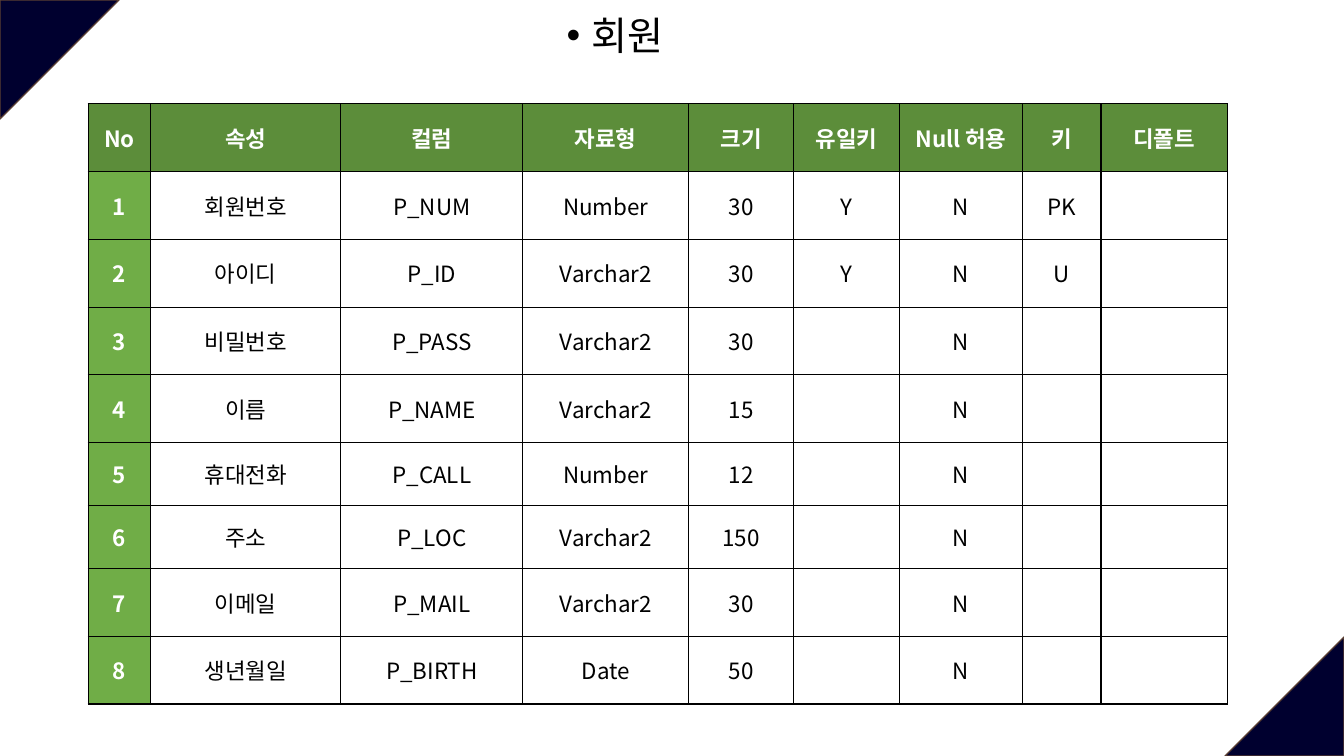
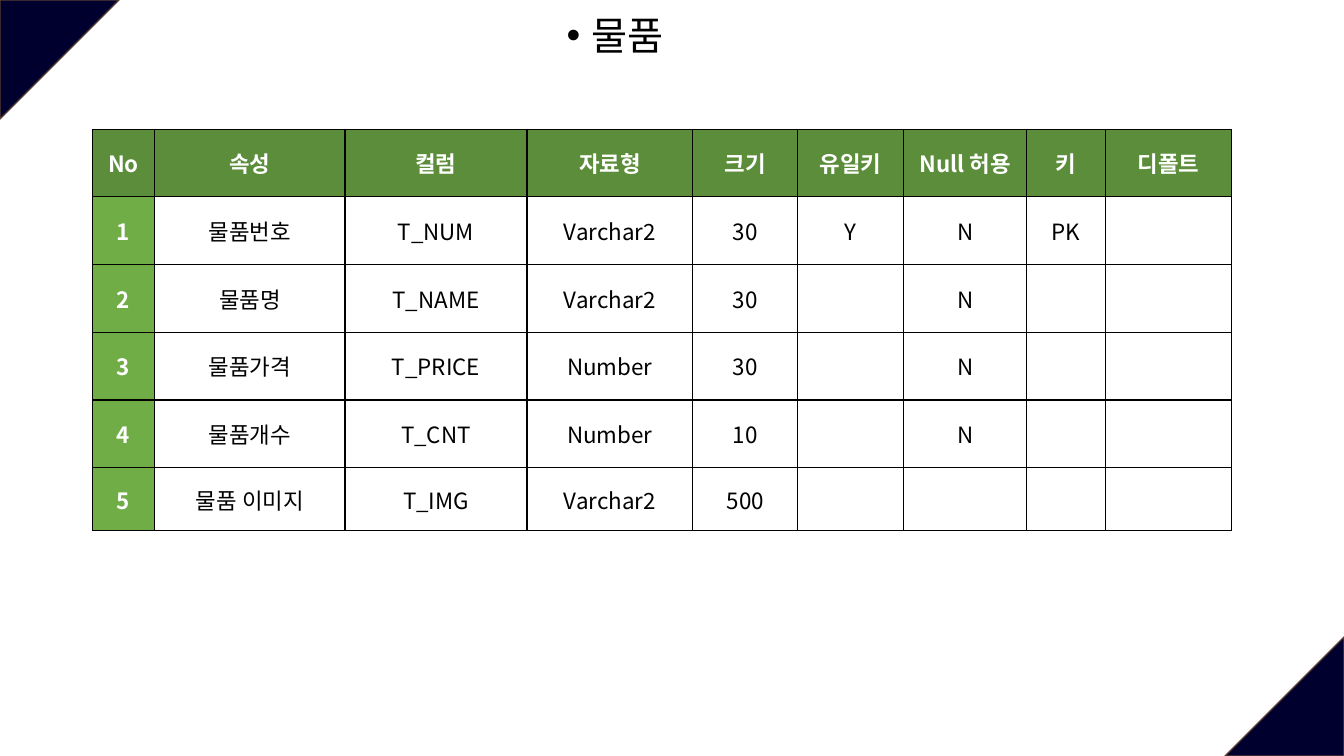
from lxml.etree import SubElement
from pptx import Presentation
from pptx.dml.color import RGBColor
from pptx.enum.shapes import MSO_SHAPE
from pptx.enum.text import MSO_ANCHOR, PP_ALIGN
from pptx.oxml import parse_xml
from pptx.oxml.ns import nsdecls, qn
from pptx.util import Pt

FONT = "Noto Sans CJK KR"
NAVY = RGBColor(0x00, 0x00, 0x2F)
BROWN = RGBColor(0x5B, 0x3F, 0x33)
DARK = RGBColor(0x5C, 0x8D, 0x3A)
GREEN = RGBColor(0x70, 0xAD, 0x47)
WHITE = RGBColor(0xFF, 0xFF, 0xFF)
BLACK = RGBColor(0x00, 0x00, 0x00)

WIDE, HIGH = 960, 540
SIDE = 85
TALL, LOW = 48.4, 45
COLS = (44.5, 136, 130, 118.5, 75, 75.5, 88, 56, 90.5)
HEAD = ("No", "속성", "컬럼", "자료형", "크기", "유일키", "Null 허용", "키", "디폴트")

# Each row: attribute, column, type, size, unique, null, key
USERS = (
    ("회원번호", "P_NUM", "Number", "30", "Y", "N", "PK"),
    ("아이디", "P_ID", "Varchar2", "30", "Y", "N", "U"),
    ("비밀번호", "P_PASS", "Varchar2", "30", "", "N", ""),
    ("이름", "P_NAME", "Varchar2", "15", "", "N", ""),
    ("휴대전화", "P_CALL", "Number", "12", "", "N", ""),
    ("주소", "P_LOC", "Varchar2", "150", "", "N", ""),
    ("이메일", "P_MAIL", "Varchar2", "30", "", "N", ""),
    ("생년월일", "P_BIRTH", "Date", "50", "", "N", ""),
)
GOODS = (
    ("물품번호", "T_NUM", "Varchar2", "30", "Y", "N", "PK"),
    ("물품명", "T_NAME", "Varchar2", "30", "", "N", ""),
    ("물품가격", "T_PRICE", "Number", "30", "", "N", ""),
    ("물품개수", "T_CNT", "Number", "10", "", "N", ""),
    ("물품 이미지", "T_IMG", "Varchar2", "500", "", "", ""),
)


def write(frame, text, size=16, color=BLACK, bold=False, bullet=False):
    """Put one centred line of text into a text frame."""
    para = frame.paragraphs[0]
    para.alignment = PP_ALIGN.CENTER
    if bullet:
        props = para._p.get_or_add_pPr()
        props.set("marL", str(Pt(18)))
        props.set("indent", str(-Pt(18)))
        SubElement(props, qn("a:buFont"), typeface="Arial")
        SubElement(props, qn("a:buChar"), char="•")
        para.line_spacing = 0.9
    run = para.add_run()
    run.text = text
    font = run.font
    font.name, font.size, font.bold = FONT, Pt(size), bold
    font.color.rgb = color
    SubElement(font._element, qn("a:ea"), typeface=FONT)


def corner(slide, left, top, turn):
    shape = slide.shapes.add_shape(
        MSO_SHAPE.ISOSCELES_TRIANGLE, Pt(left), Pt(top), Pt(SIDE), Pt(SIDE))
    shape.adjustments[0] = 0
    shape.rotation = turn
    shape.shadow.inherit = False
    shape.fill.solid()
    shape.fill.fore_color.rgb = NAVY
    shape.line.color.rgb = BROWN
    shape.line.width = Pt(1)


def title(slide, text, left, top, width, height):
    box = slide.shapes.add_textbox(Pt(left), Pt(top), Pt(width), Pt(height))
    frame = box.text_frame
    frame.word_wrap = True
    frame.vertical_anchor = MSO_ANCHOR.MIDDLE
    frame.margin_top = frame.margin_bottom = 0
    write(frame, text, size=28, bullet=True)


def border(cell):
    props = cell._tc.get_or_add_tcPr()
    for place, side in enumerate("LRTB"):
        props.insert(place, parse_xml(
            f'<a:ln{side} {nsdecls("a")} w="{Pt(1)}"><a:solidFill>'
            f'<a:srgbClr val="{BLACK}"/></a:solidFill></a:ln{side}>'))


def fill(cell, text, back, **form):
    cell.fill.solid()
    cell.fill.fore_color.rgb = back
    cell.vertical_anchor = MSO_ANCHOR.MIDDLE
    cell.margin_left = cell.margin_right = Pt(4.5)
    cell.margin_top = cell.margin_bottom = Pt(4.5)
    border(cell)
    if text:
        write(cell.text_frame, text, **form)


def grid(slide, left, top, rows, short):
    """Draw a schema table; short holds the numbers of the lower rows."""
    lines = [HEAD] + [(str(n), *row, "") for n, row in enumerate(rows, 1)]
    highs = [LOW if n in short else TALL for n in range(len(lines))]
    table = slide.shapes.add_table(
        len(lines), len(COLS), Pt(left), Pt(top),
        Pt(sum(COLS)), Pt(sum(highs))).table
    table.horz_banding = False
    table.first_row = False
    for col, width in zip(table.columns, COLS):
        col.width = Pt(width)
    for r, (line, high) in enumerate(zip(lines, highs)):
        table.rows[r].height = Pt(high)
        for c, text in enumerate(line):
            label = r == 0 or c == 0
            back = DARK if r == 0 else GREEN if c == 0 else WHITE
            fill(table.cell(r, c), text, back,
                 color=WHITE if label else BLACK, bold=label)


def page(deck, name, left, top, rows, short):
    slide = deck.slides.add_slide(deck.slide_layouts[6])
    corner(slide, 0, 0, 90)
    corner(slide, WIDE - SIDE, HIGH - SIDE, 270)
    title(slide, name, 134, 8.5, 611, 36.5)
    grid(slide, left, top, rows, short)


def main():
    deck = Presentation()
    deck.slide_width, deck.slide_height = Pt(WIDE), Pt(HIGH)
    page(deck, "회원", 63, 74.2, USERS, (5, 6))
    page(deck, "물품", 66, 92.2, GOODS, (5,))
    deck.save("out.pptx")


if __name__ == "__main__":
    main()
